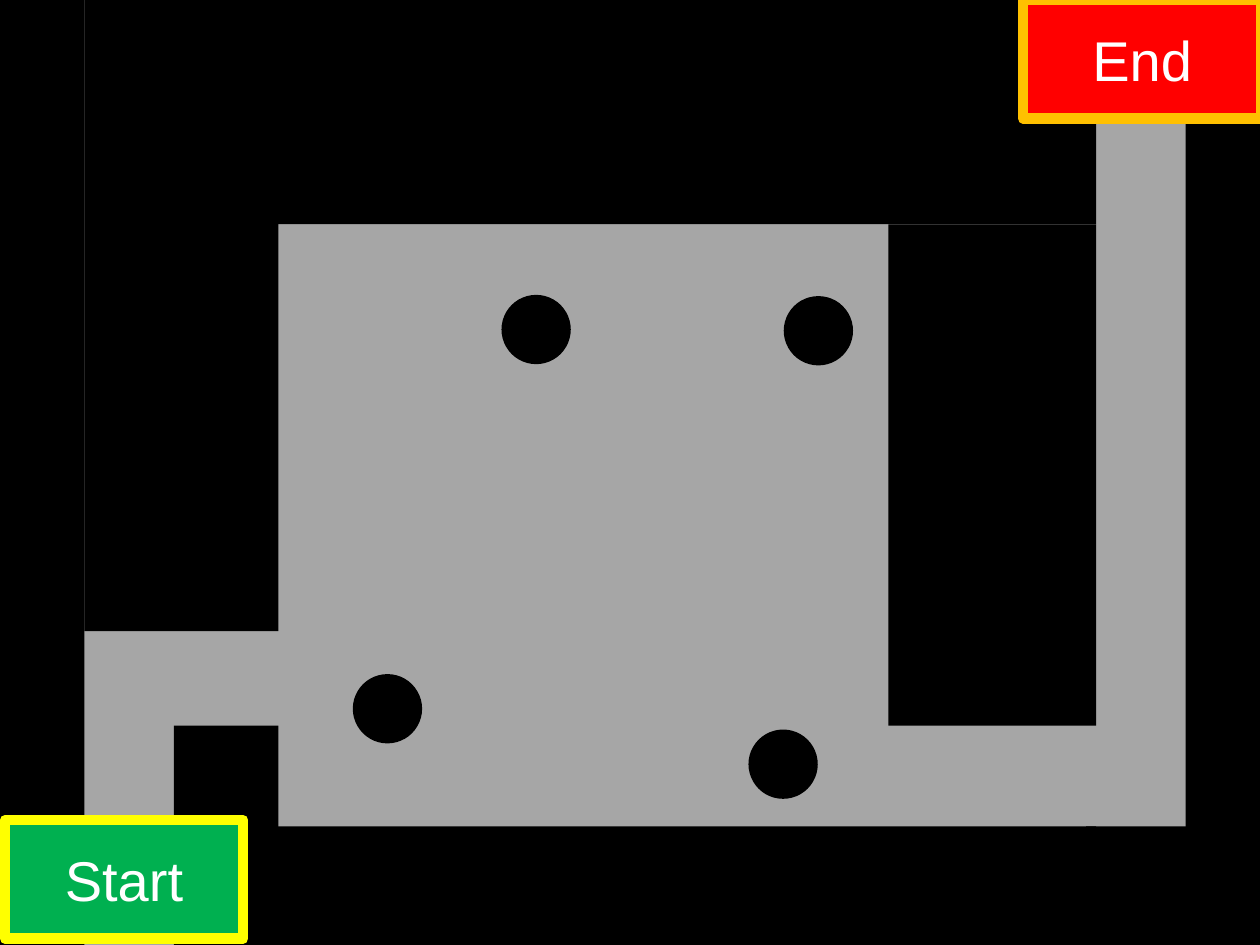
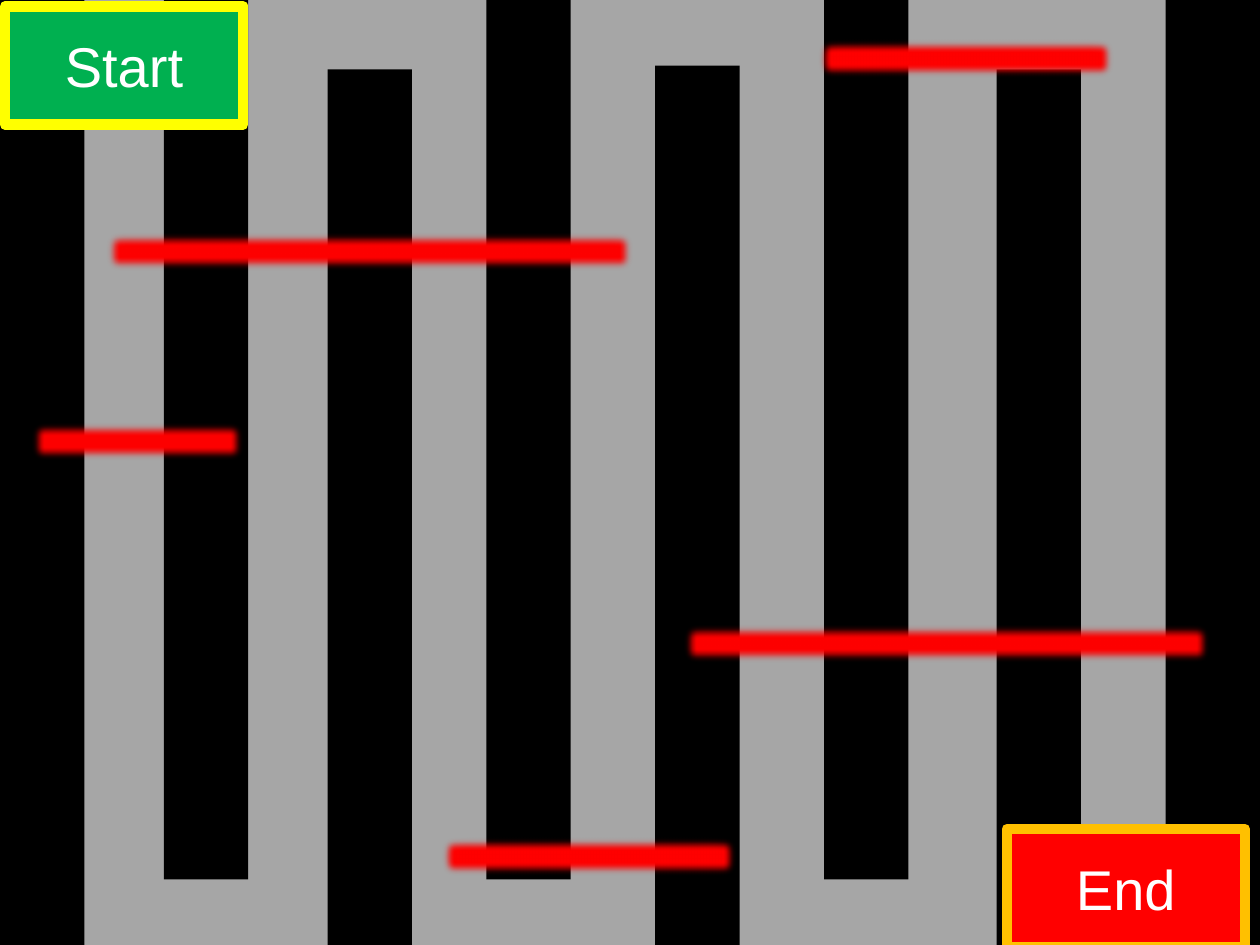
"""Build two maze game boards with walls, hazards and start and end signs."""
from dataclasses import dataclass
from typing import NamedTuple

from lxml import etree
from pptx import Presentation
from pptx import util as u
from pptx.dml.color import RGBColor
from pptx.enum import shapes, text
from pptx.oxml.ns import qn

PX = 9144
SLIDE_W, SLIDE_H = 1000, 750


@dataclass(frozen=True)
class Theme:
    """Colours, type and line sizes shared by both boards."""
    floor: str = "A6A6A6"
    wall: str = "000000"
    hazard: str = "FF0000"
    label: str = "FFFFFF"
    font: str = "Arial"
    label_pt: int = 32
    border_pt: int = 6
    soft_edge_pt: int = 5


class Box(NamedTuple):
    """A rectangle in px."""
    left: int
    top: int
    width: int
    height: int


class SignStyle(NamedTuple):
    """The caption and colours of a sign."""
    caption: str
    fill: str
    border: str


class Sign(NamedTuple):
    """A sign style and its place on a board."""
    style: SignStyle
    left: int
    top: int


class Board(NamedTuple):
    """The parts of one maze."""
    walls: list[Box]
    signs: list[Sign]
    pits: list[Box]
    lasers: list[Box]


THEME = Theme()
START = SignStyle("Start", "00B050", "FFFF00")
END = SignStyle("End", "FF0000", "FFC000")
SIGN_W, SIGN_H = 189, 94
PIT = 55
WALL_W, WALL_H = 67, 698
LASER_H = 35
LEFT_WALL = Box(0, 0, WALL_W, SLIDE_H)

PIT_ROOM = Board(
    walls=[
        LEFT_WALL,
        Box(138, 576, 83, 175),
        Box(67, 0, 154, 501),
        Box(220, 0, 650, 178),
        Box(220, 656, 650, 96),
        Box(705, 178, 165, 398),
        Box(941, 0, 60, 752),
        Box(862, 656, 83, 96),
    ],
    signs=[Sign(END, 812, 0), Sign(START, 4, 651)],
    pits=[Box(x, y, PIT, PIT)
          for x, y in ((398, 234), (280, 535), (594, 579), (622, 235))],
    lasers=[],
)

LASER_LANES = Board(
    walls=[
        LEFT_WALL,
        *(Box(x, y, WALL_W, WALL_H)
          for x, y in ((130, 0), (260, 55), (386, 0), (520, 52), (654, 0), (791, 55))),
        Box(925, -4, 75, 757),
    ],
    signs=[Sign(START, 4, 5), Sign(END, 799, 658)],
    pits=[],
    lasers=[Box(x, y, w, LASER_H)
            for x, y, w in ((82, 182, 422), (23, 333, 173), (647, 29, 239),
                            (540, 493, 422), (348, 662, 239))],
)


def add_block(s, box: Box, fill: str, kind=shapes.MSO_SHAPE.RECTANGLE):
    """Add a flat shape without an outline."""
    sp = s.shapes.add_shape(kind, *(v * PX for v in box))
    sp.shadow.inherit = False
    sp.fill.solid()
    sp.fill.fore_color.rgb = RGBColor.from_string(fill)
    sp.line.fill.background()
    return sp


def add_sign(s, sign: Sign) -> None:
    """Add a bordered sign with a centred caption."""
    style = sign.style
    sp = add_block(s, Box(sign.left, sign.top, SIGN_W, SIGN_H), style.fill,
                   shapes.MSO_SHAPE.ROUNDED_RECTANGLE)
    sp.adjustments[0] = 0
    sp.line.color.rgb = RGBColor.from_string(style.border)
    sp.line.width = u.Pt(THEME.border_pt)
    tf = sp.text_frame
    tf.text = style.caption
    tf.vertical_anchor = text.MSO_ANCHOR.MIDDLE
    p = tf.paragraphs[0]
    p.alignment = text.PP_ALIGN.CENTER
    font = p.runs[0].font
    font.name = THEME.font
    font.size = u.Pt(THEME.label_pt)
    font.color.rgb = RGBColor.from_string(THEME.label)


def add_laser(s, box: Box) -> None:
    """Add a hazard bar with blurred edges."""
    sp = add_block(s, box, THEME.hazard)
    effects = sp.element.spPr.find(qn("a:effectLst"))
    etree.SubElement(effects, qn("a:softEdge"), rad=str(u.Pt(THEME.soft_edge_pt)))


def add_board(prs, board: Board) -> None:
    """Add a slide and draw one maze on it."""
    s = prs.slides.add_slide(prs.slide_layouts[6])
    add_block(s, Box(0, 0, SLIDE_W, SLIDE_H), THEME.floor)
    for wall in board.walls:
        add_block(s, wall, THEME.wall)
    for sign in board.signs:
        add_sign(s, sign)
    for pit in board.pits:
        add_block(s, pit, THEME.wall, shapes.MSO_SHAPE.OVAL)
    for laser in board.lasers:
        add_laser(s, laser)


def main() -> None:
    """Build and save the presentation."""
    prs = Presentation()
    prs.slide_width, prs.slide_height = SLIDE_W * PX, SLIDE_H * PX
    for board in (PIT_ROOM, LASER_LANES):
        add_board(prs, board)
    prs.save("out.pptx")


if __name__ == "__main__":
    main()
